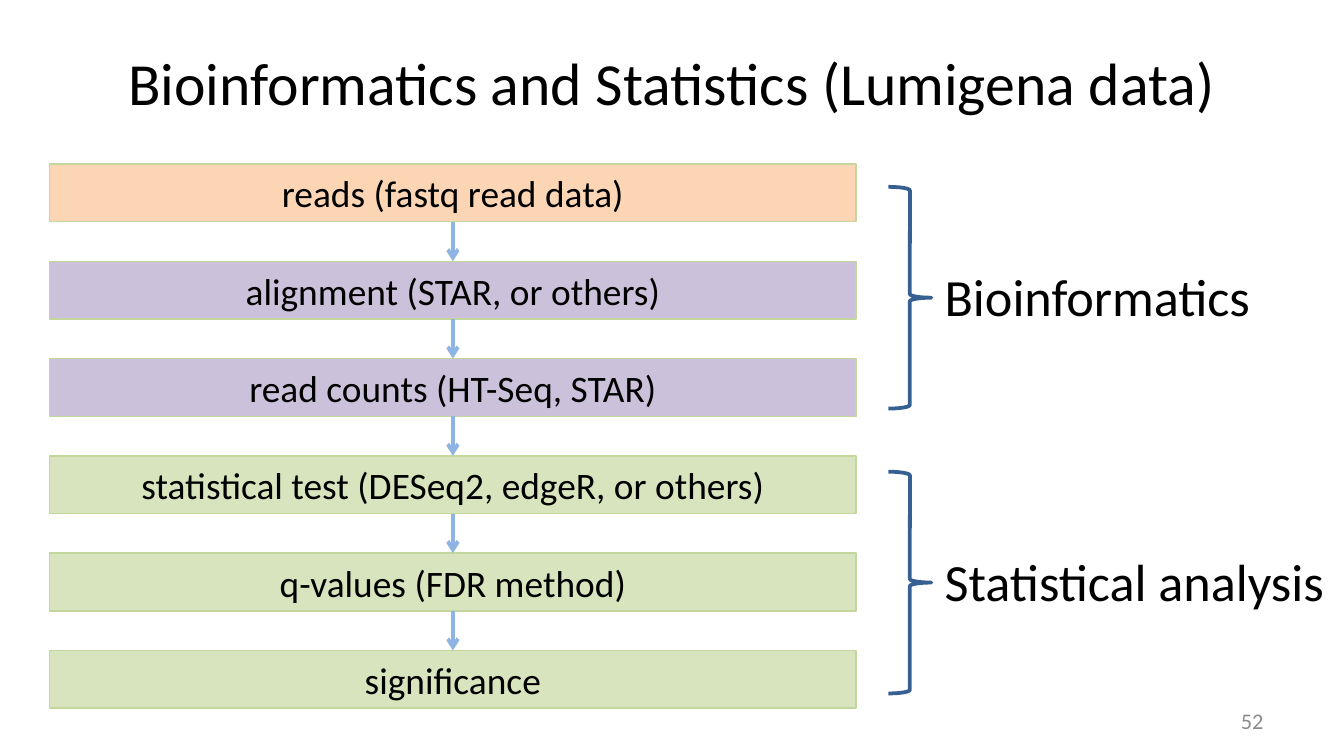
from dataclasses import dataclass

from lxml import etree
from pptx import Presentation
from pptx.dml.color import RGBColor as Rgb
from pptx.enum.shapes import MSO_CONNECTOR as Link, MSO_SHAPE as Kind
from pptx.enum.text import MSO_ANCHOR as Anchor, MSO_AUTO_SIZE as Fit, PP_ALIGN as Align
from pptx.oxml.ns import qn
from pptx.util import Emu, Pt

PX = 4572  # EMU in one px, 200 px to the inch


@dataclass(frozen=True)
class Theme:
    font: str = "Calibri"
    ink: str = "000000"
    muted: str = "8C8C8C"
    peach: str = "FCD5B5"
    lilac: str = "CCC1DA"
    green: str = "D7E4BD"
    edge: str = "C3D69B"
    arrow: str = "8EB4E3"
    brace: str = "376092"
    title: int = 32
    label: int = 28
    step: int = 20
    small: int = 12
    thin: float = 0.75
    thick: float = 2


THEME = Theme()
STEPS = [
    ("reads (fastq read data)", THEME.peach),
    ("alignment (STAR, or others)", THEME.lilac),
    ("read counts (HT-Seq, STAR)", THEME.lilac),
    ("statistical test (DESeq2, edgeR, or others)", THEME.green),
    ("q-values (FDR method)", THEME.green),
    ("significance", THEME.green),
]


def scale(*vals):
    return [Emu(round(val * PX)) for val in vals]


def stroke(line, color, width):
    line.color.rgb = Rgb.from_string(color)
    line.width = Pt(width)


def write(frame, text, size, align, color=THEME.ink):
    frame.text = text
    para = frame.paragraphs[0]
    para.alignment = align
    font = para.runs[0].font
    font.name, font.size = THEME.font, Pt(size)
    font.color.rgb = Rgb.from_string(color)


def add_text(slide, box, text, size, align, color=THEME.ink):
    frame = slide.shapes.add_textbox(*scale(*box)).text_frame
    frame.word_wrap = True
    frame.vertical_anchor = Anchor.MIDDLE
    write(frame, text, size, align, color)


def add_step(slide, box, text, fill):
    rect = slide.shapes.add_shape(Kind.RECTANGLE, *scale(*box))
    rect.shadow.inherit = False
    rect.fill.solid()
    rect.fill.fore_color.rgb = Rgb.from_string(fill)
    stroke(rect.line, THEME.edge, THEME.thin)
    frame = rect.text_frame
    frame.margin_left = frame.margin_right = frame.margin_top = frame.margin_bottom = 0
    frame.vertical_anchor = Anchor.MIDDLE
    write(frame, text, THEME.step, Align.CENTER)
    return rect


def add_arrow(slide, start, end):
    link = slide.shapes.add_connector(Link.STRAIGHT, 0, 0, 0, 0)
    link.begin_connect(start, 2)
    link.end_connect(end, 0)
    stroke(link.line, THEME.arrow, THEME.thick)
    etree.SubElement(link.line._get_or_add_ln(), qn("a:tailEnd"), type="arrow")
    etree.SubElement(link._element.spPr, qn("a:effectLst"))


def add_flow(slide, box, steps, tall=86):
    left, top, wide, high = box
    pitch = (high - tall) / (len(steps) - 1)
    rects = [
        add_step(slide, (left, top + row * pitch, wide, tall), text, fill)
        for row, (text, fill) in enumerate(steps)
    ]
    for start, end in zip(rects, rects[1:]):
        add_arrow(slide, start, end)


def add_group(slide, box, text, arm=64, tall=114):
    left, top, wide, high = box
    # Brace
    brace = slide.shapes.add_shape(Kind.RIGHT_BRACE, *scale(left, top, arm, high))
    brace.shadow.inherit = False
    brace.fill.background()
    stroke(brace.line, THEME.brace, THEME.thick)
    # Label beside the tip
    spot = scale(left + arm, top + (high - tall) / 2 - 3, wide - arm, tall)
    frame = slide.shapes.add_textbox(*spot).text_frame
    frame.word_wrap = False
    frame.auto_size = Fit.SHAPE_TO_FIT_TEXT
    write(frame, text, THEME.label, Align.LEFT)


def main():
    deck = Presentation()
    deck.slide_width, deck.slide_height = scale(2000, 1125)
    slide = deck.slides.add_slide(deck.slide_layouts[6])
    # Workflow and its two phases
    add_flow(slide, (74, 244, 1200, 810), STEPS)
    add_group(slide, (1322, 278, 566, 330), "Bioinformatics")
    add_group(slide, (1322, 702, 678, 330), "Statistical analysis")
    # Title and slide number
    add_text(slide, (100, 44, 1800, 154), "Bioinformatics and Statistics (Lumigena data)",
             THEME.title, Align.CENTER)
    add_text(slide, (1434, 1042, 466, 60), "52", THEME.small, Align.RIGHT, THEME.muted)
    deck.save("out.pptx")


if __name__ == "__main__":
    main()
